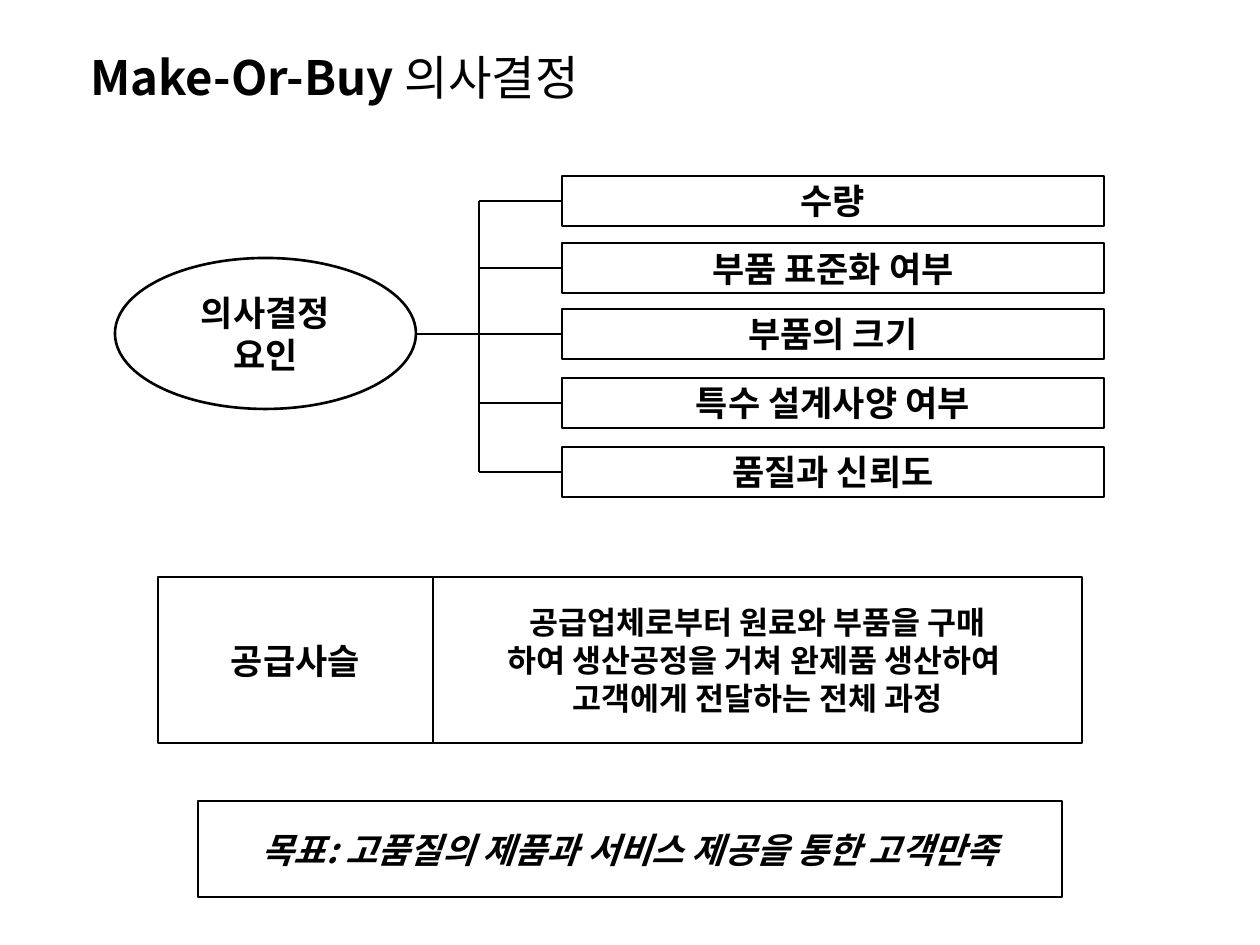
from pptx import Presentation
from pptx.dml.color import RGBColor
from pptx.enum.shapes import MSO_CONNECTOR, MSO_SHAPE
from pptx.enum.text import MSO_ANCHOR, MSO_AUTO_SIZE, PP_ALIGN
from pptx.oxml.ns import qn
from pptx.util import Pt

BLACK = RGBColor(0x00, 0x00, 0x00)
WHITE = RGBColor(0xFF, 0xFF, 0xFF)
RECTANGLE, ELLIPSE = MSO_SHAPE.RECTANGLE, MSO_SHAPE.OVAL
STRAIGHT = MSO_CONNECTOR.STRAIGHT
MIDDLE = MSO_ANCHOR.MIDDLE
FIXED_SIZE = MSO_AUTO_SIZE.NONE
LEFT, CENTER = PP_ALIGN.LEFT, PP_ALIGN.CENTER
FONT = "Noto Sans CJK KR"
EMU_PER_PX = 914400 / 126


def px(length):
    return round(length * EMU_PER_PX)


def format_run(run, size=20, bold=True, italic=False):
    font = run.font
    font.name, font.size, font.bold, font.italic = FONT, Pt(size), bold, italic
    font.color.rgb = BLACK
    latin = run._r.get_or_add_rPr().find(qn("a:latin"))
    east_asian = latin.makeelement(qn("a:ea"), {"typeface": FONT})
    latin.addnext(east_asian)


def write_lines(paragraph, text, line_height=None, **run_format):
    paragraph.text = text.replace("\n", "\v")
    paragraph.alignment = CENTER
    if line_height:
        paragraph.line_spacing = Pt(line_height)
    for run in paragraph.runs:
        format_run(run, **run_format)


class DiagramSlide:
    """Outline style and the slide that the diagram is drawn on."""

    def __init__(self, slide, line_width=1.5):
        self.slide = slide
        self.line_width = Pt(line_width)

    def outline(self, line):
        line.color.rgb = BLACK
        line.width = self.line_width

    def title(self, left, top, width, height, parts):
        title = self.slide.shapes.title
        title.left, title.top = px(left), px(top)
        title.width, title.height = px(width), px(height)
        frame = title.text_frame
        frame.auto_size = FIXED_SIZE
        frame.vertical_anchor = MIDDLE
        paragraph = frame.paragraphs[0]
        paragraph.alignment = LEFT
        for text, bold in parts:
            run = paragraph.add_run()
            run.text = text
            format_run(run, size=27, bold=bold)

    def box(self, text, left, top, width, height, kind=RECTANGLE, **text_format):
        shape = self.slide.shapes.add_shape(
            kind, px(left), px(top), px(width), px(height))
        shape.shadow.inherit = False
        shape.fill.solid()
        shape.fill.fore_color.rgb = WHITE
        self.outline(shape.line)
        frame = shape.text_frame
        frame.word_wrap = True
        frame.vertical_anchor = MIDDLE
        write_lines(frame.paragraphs[0], text, **text_format)

    def line(self, start_x, start_y, end_x, end_y):
        connector = self.slide.shapes.add_connector(
            STRAIGHT, px(start_x), px(start_y), px(end_x), px(end_y))
        self.outline(connector.line)
        properties = connector._element.spPr
        properties.append(properties.makeelement(qn("a:effectLst"), {}))


def main():
    presentation = Presentation()
    presentation.slide_width, presentation.slide_height = px(1260), px(945)
    title_only = presentation.slide_layouts[5]
    diagram = DiagramSlide(presentation.slides.add_slide(title_only))

    diagram.title(78, 42, 675, 70, [("Make-Or-Buy ", True), ("의사결정", False)])
    diagram.box("의사결정\n요인", 115, 258, 301, 151, kind=ELLIPSE, line_height=24)

    factors = {
        "수량": 176,
        "부품 표준화 여부": 243,
        "부품의 크기": 309,
        "특수 설계사양 여부": 378,
        "품질과 신뢰도": 447,
    }
    factor_left, factor_height, trunk_x, ellipse_right = 562, 50, 479, 416
    centers = [top + factor_height // 2 for top in factors.values()]
    for text, top in factors.items():
        diagram.box(text, factor_left, top, 542, factor_height)
    for center in centers:
        diagram.line(factor_left, center, trunk_x, center)
    diagram.line(ellipse_right, centers[2], trunk_x, centers[2])
    diagram.line(trunk_x, centers[0], trunk_x, centers[-1])

    diagram.box(
        "공급업체로부터 원료와 부품을 구매\n하여 생산공정을 거쳐 완제품 생산하여 \n"
        "고객에게 전달하는 전체 과정",
        433, 577, 649, 166, size=18, line_height=21.5)
    diagram.box("공급사슬", 158, 577, 275, 166)
    diagram.box("목표: 고품질의 제품과 서비스 제공을 통한 고객만족",
                198, 801, 864, 96, italic=True)
    presentation.save("out.pptx")


if __name__ == "__main__":
    main()
